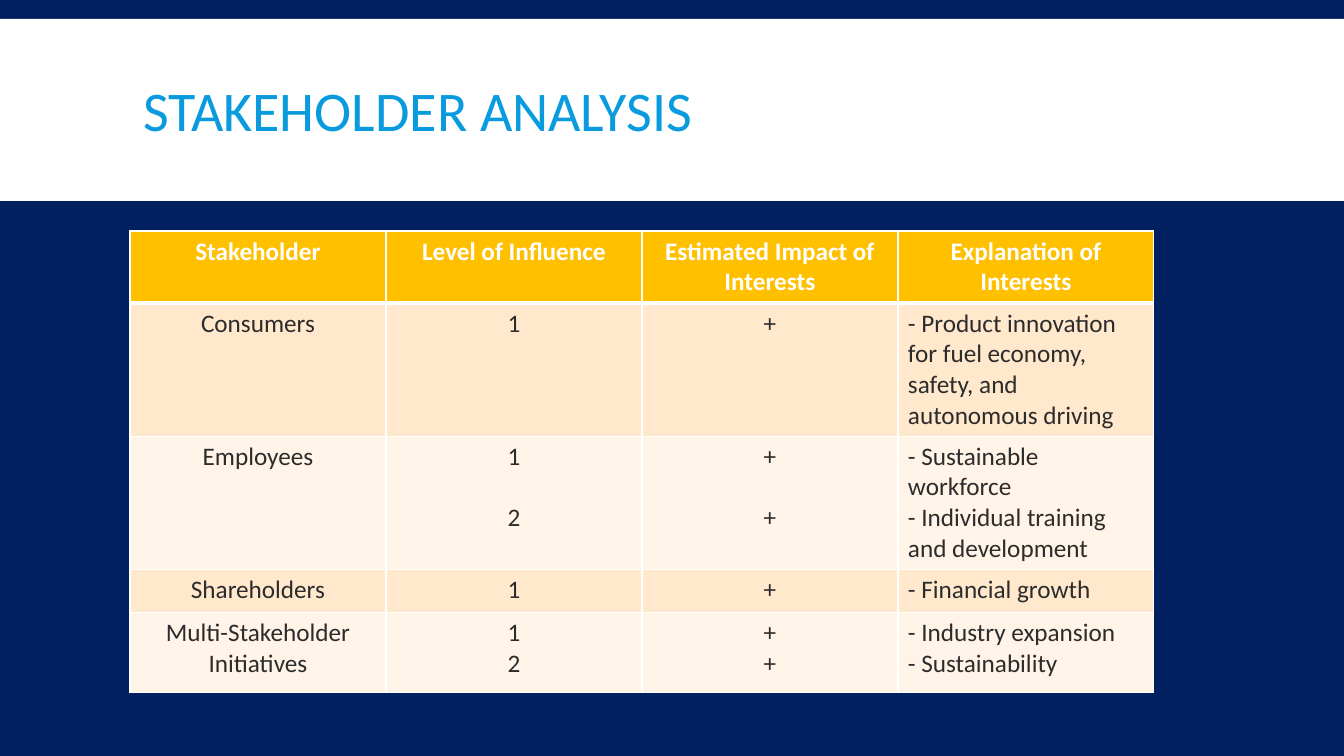
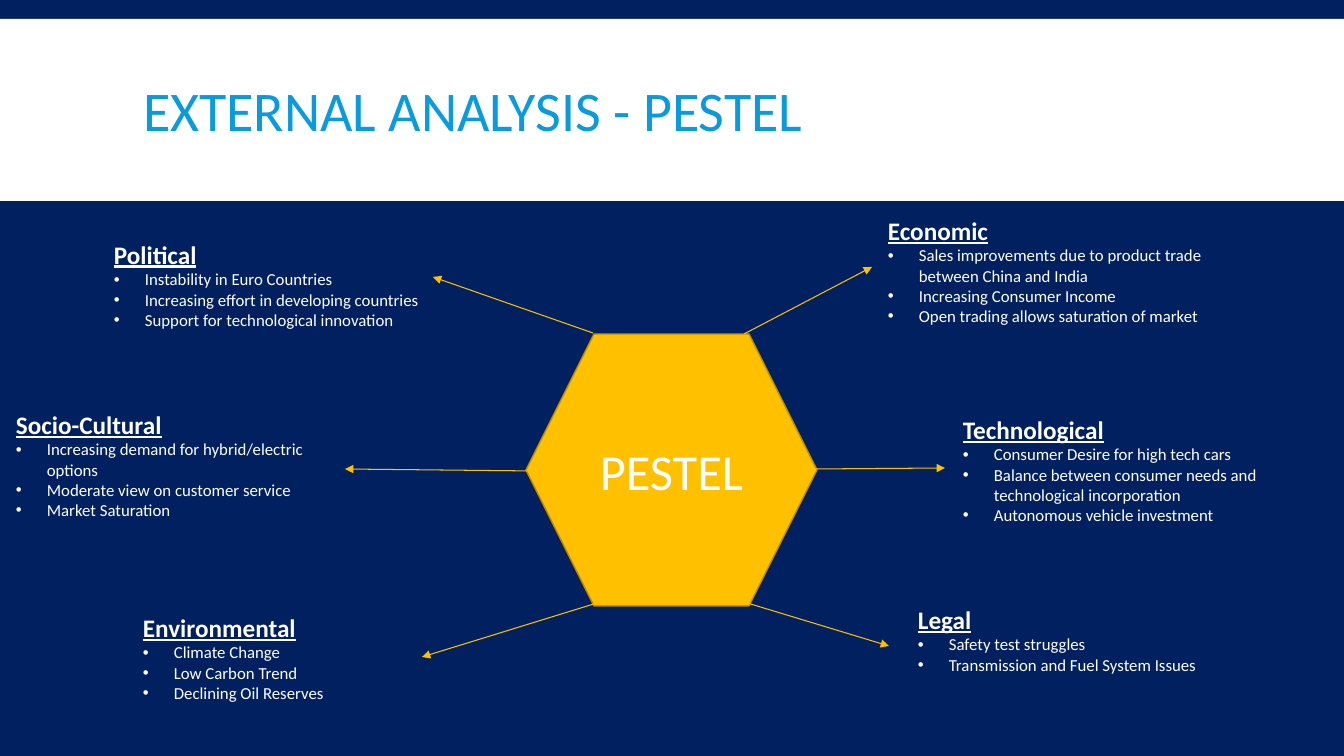
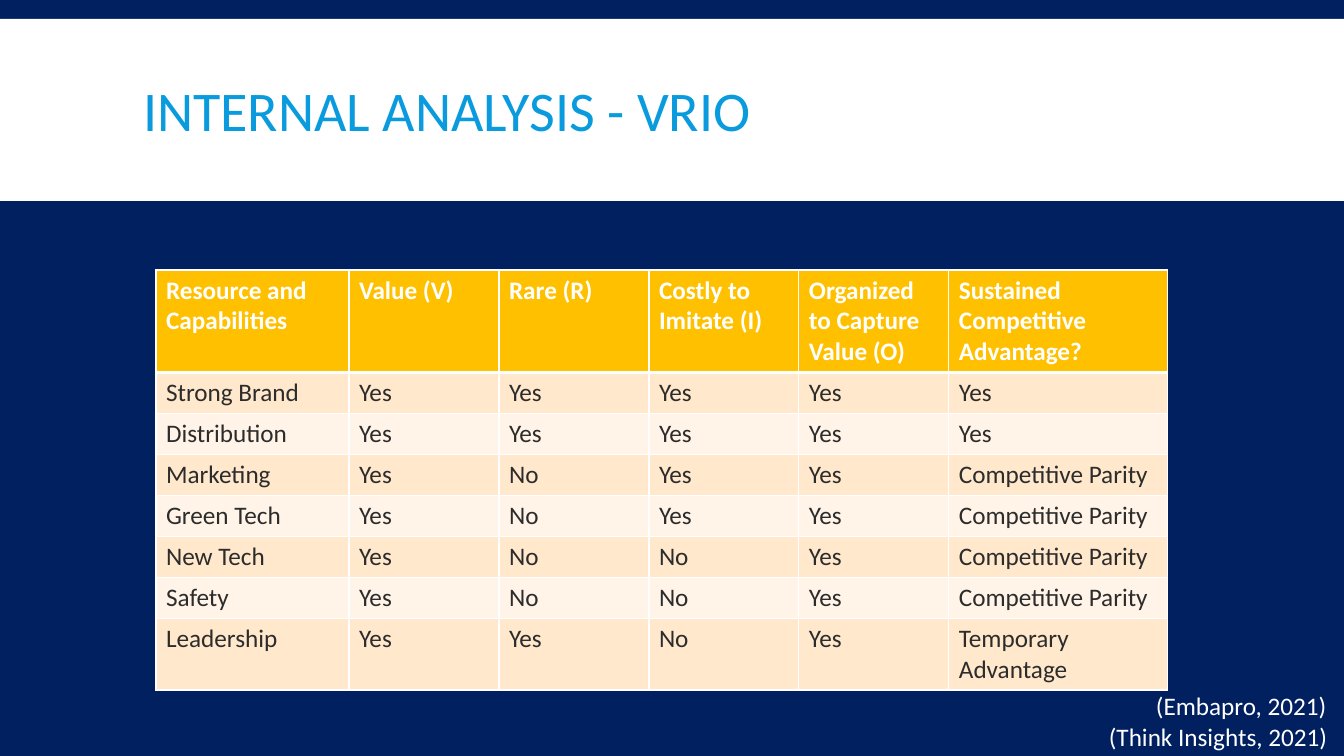
from dataclasses import dataclass, field

from lxml.etree import SubElement
from pptx import Presentation
from pptx.dml.color import RGBColor
from pptx.enum.shapes import MSO_CONNECTOR, MSO_SHAPE
from pptx.enum.text import MSO_ANCHOR as Anchor, MSO_AUTO_SIZE as AutoSize, PP_ALIGN as Align
from pptx.oxml.ns import qn
from pptx.presentation import Presentation as Deck
from pptx.slide import Slide
from pptx.text.text import TextFrame
from pptx.util import Emu, Pt

EMU_PER_PX = 914400 / 100.8
SLIDE_W, SLIDE_H = 1344, 756
FONT = "Calibri"
NAVY, WHITE, BLUE = "002060", "FFFFFF", "099BDD"
GOLD, GOLD_EDGE, INK = "FFC000", "BD8E00", "2C2C2C"
ROW_FILLS = ("FFF4E7", "FFE8CC")
BULLET_INDENT = 31
FACTOR_W = 357


@dataclass(frozen=True)
class Factor:
    x: int
    y: int
    h: int
    heading: str
    points: tuple[str, ...]
    arrow: tuple[int, int, int, int]


@dataclass(frozen=True)
class Grid:
    """A table; gaps maps (row, column) to points between the cell's paragraphs."""
    x: int
    y: int
    cols: tuple[int, ...]
    heights: tuple[int, ...]
    rows: tuple[tuple[str, ...], ...]
    centred: int = 0
    gaps: dict[tuple[int, int], int] = field(default_factory=dict)


@dataclass(frozen=True)
class Citation:
    x: int
    y: int
    text: str


STAKEHOLDERS = Grid(
    130, 231, (256,) * 4, (72, 120, 92, 43, 80),
    (
        ("Stakeholder", "Level of Influence", "Estimated Impact of Interests",
         "Explanation of Interests"),
        ("Consumers", "1", "+",
         "- Product innovation for fuel economy, safety, and autonomous driving"),
        ("Employees", "1\n2", "+\n+",
         "- Sustainable workforce\n- Individual training and development"),
        ("Shareholders", "1", "+", "- Financial growth"),
        ("Multi-Stakeholder Initiatives", "1\n2", "+\n+",
         "- Industry expansion\n- Sustainability"),
    ),
    centred=3, gaps={(2, 1): 22, (2, 2): 22},
)

VRIO = Grid(
    156, 270, (193, 150, 150, 150, 150, 219), (41,) * 8,
    (
        ("Resource and Capabilities", "Value (V)", "Rare (R)", "Costly to Imitate (I)",
         "Organized to Capture Value (O)", "Sustained Competitive Advantage?"),
        ("Strong Brand", "Yes", "Yes", "Yes", "Yes", "Yes"),
        ("Distribution", "Yes", "Yes", "Yes", "Yes", "Yes"),
        ("Marketing", "Yes", "No", "Yes", "Yes", "Competitive Parity"),
        ("Green Tech", "Yes", "No", "Yes", "Yes", "Competitive Parity"),
        ("New Tech", "Yes", "No", "No", "Yes", "Competitive Parity"),
        ("Safety", "Yes", "No", "No", "Yes", "Competitive Parity"),
        ("Leadership", "Yes", "Yes", "No", "Yes", "Temporary Advantage"),
    ),
)

FACTORS = (
    Factor(104, 234, 142, "Political",
           ("Instability in Euro Countries", "Increasing effort in developing countries",
            "Support for technological innovation"), (593, 333, 433, 277)),
    Factor(878, 210, 142, "Economic",
           ("Sales improvements due to product trade between China and India",
            "Increasing Consumer Income", "Open trading allows saturation of market"),
           (744, 334, 872, 267)),
    Factor(6, 404, 183, "Socio-Cultural",
           ("Increasing demand for hybrid/electric options",
            "Moderate view on customer service", "Market Saturation"),
           (536, 471, 345, 469)),
    Factor(953, 409, 142, "Technological",
           ("Consumer Desire for high tech cars",
            "Balance between consumer needs and technological incorporation",
            "Autonomous vehicle investment"), (812, 469, 945, 468)),
    Factor(133, 607, 149, "Environmental",
           ("Climate Change", "Low Carbon Trend", "Declining Oil Reserves"),
           (597, 603, 422, 657)),
    Factor(908, 599, 122, "Legal",
           ("Safety test struggles", "Transmission and Fuel System Issues"),
           (744, 602, 889, 646)),
)

CITATIONS = (
    Citation(1099, 716, "(Think Insights, 2021)"),
    Citation(1146, 685, "(Embapro, 2021)"),
)


def px(n: int) -> Emu:
    return Emu(round(n * EMU_PER_PX))


def box(x: int, y: int, w: int, h: int) -> tuple[Emu, Emu, Emu, Emu]:
    return px(x), px(y), px(w), px(h)


def rgb(value: str) -> RGBColor:
    return RGBColor.from_string(value)


def write(tf: TextFrame, text: str, *, size: int = 18, color: str = WHITE,
          bold: bool = False, underline: bool = False, align: Align = Align.LEFT,
          bullet: bool = False, before: int = 0, spacing: float = 1.0) -> None:
    """Add one paragraph, filling the first one while it is still empty."""
    first = tf.paragraphs[0]
    p = tf.add_paragraph() if first.runs else first
    p.alignment = align
    p.line_spacing = spacing
    p.space_before = Pt(before)
    if bullet:
        pPr = p._p.get_or_add_pPr()
        pPr.set("marL", str(px(BULLET_INDENT)))
        pPr.set("indent", str(-px(BULLET_INDENT)))
        SubElement(pPr, qn("a:buFont"), typeface="Arial")
        SubElement(pPr, qn("a:buChar"), char="•")
    r = p.add_run()
    r.text = text
    font = r.font
    font.name, font.size = FONT, Pt(size)
    font.bold, font.underline = bold, underline
    font.color.rgb = rgb(color)


def add_panel(s: Slide, kind: MSO_SHAPE, x: int, y: int, w: int, h: int,
              fill: str, line: str = ""):
    sp = s.shapes.add_shape(kind, *box(x, y, w, h))
    sp.shadow.inherit = False
    sp.fill.solid()
    sp.fill.fore_color.rgb = rgb(fill)
    if line:
        sp.line.color.rgb = rgb(line)
        sp.line.width = Pt(1)
    else:
        sp.line.fill.background()
    return sp


def add_text_box(s: Slide, x: int, y: int, w: int, h: int) -> TextFrame:
    tf = s.shapes.add_textbox(*box(x, y, w, h)).text_frame
    tf.word_wrap = True
    tf.auto_size = AutoSize.SHAPE_TO_FIT_TEXT
    return tf


def add_slide(prs: Deck, title: str) -> Slide:
    """Add a title-only slide with the white band behind its title."""
    s = prs.slides.add_slide(prs.slide_layouts[5])
    band = add_panel(s, MSO_SHAPE.RECTANGLE, 0, 19, SLIDE_W, 182, WHITE)
    s.shapes.element.insert(2, band.element)
    sp = s.shapes.title
    sp.left, sp.top, sp.width, sp.height = box(133, 31, 1079, 166)
    tf = sp.text_frame
    tf.auto_size = AutoSize.NONE
    tf.vertical_anchor = Anchor.MIDDLE
    write(tf, title, size=40, color=BLUE, spacing=0.85)
    return s


def add_arrow(s: Slide, x1: int, y1: int, x2: int, y2: int) -> None:
    line = s.shapes.add_connector(MSO_CONNECTOR.STRAIGHT, px(x1), px(y1), px(x2), px(y2))
    line.line.color.rgb = rgb(GOLD)
    line.line.width = Pt(0.75)
    SubElement(line.line._get_or_add_ln(), qn("a:tailEnd"), type="triangle")
    SubElement(line.element.spPr, qn("a:effectLst"))


def set_borders(cell, top: int, bottom: int) -> None:
    """Draw white borders; call it before the fill, which follows them in the XML."""
    tcPr = cell._tc.get_or_add_tcPr()
    for side, width in (("L", 1), ("R", 1), ("T", top), ("B", bottom)):
        ln = SubElement(tcPr, qn(f"a:ln{side}"), w=str(Pt(width)))
        SubElement(SubElement(ln, qn("a:solidFill")), qn("a:srgbClr"), val=WHITE)


def add_grid(s: Slide, grid: Grid) -> None:
    frame = s.shapes.add_table(len(grid.rows), len(grid.cols), *box(
        grid.x, grid.y, sum(grid.cols), sum(grid.heights)))
    table = frame.table
    for column, width in zip(table.columns, grid.cols):
        column.width = px(width)
    for row, height in zip(table.rows, grid.heights):
        row.height = px(height)
    for i, texts in enumerate(grid.rows):
        header = i == 0
        for j, text in enumerate(texts):
            cell = table.cell(i, j)
            set_borders(cell, top=3 if i == 1 else 1, bottom=3 if header else 1)
            cell.fill.solid()
            cell.fill.fore_color.rgb = rgb(GOLD if header else ROW_FILLS[i % 2])
            centre = j < grid.centred or (header and grid.centred > 0)
            for k, line in enumerate(text.split("\n")):
                write(cell.text_frame, line, color=WHITE if header else INK, bold=header,
                      align=Align.CENTER if centre else Align.LEFT,
                      before=grid.gaps.get((i, j), 0) if k else 0)


def add_factor(s: Slide, factor: Factor) -> None:
    add_arrow(s, *factor.arrow)
    tf = add_text_box(s, factor.x, factor.y, FACTOR_W, factor.h)
    write(tf, factor.heading, bold=True, underline=True)
    for point in factor.points:
        write(tf, point, size=12, bullet=True)


def add_pestel(s: Slide) -> None:
    hexagon = add_panel(s, MSO_SHAPE.HEXAGON, 526, 334, 291, 272, GOLD, GOLD_EDGE)
    tf = hexagon.text_frame
    tf.word_wrap = False
    tf.vertical_anchor = Anchor.MIDDLE
    write(tf, "PESTEL", size=36, align=Align.CENTER)
    for factor in FACTORS:
        add_factor(s, factor)


def main() -> None:
    prs = Presentation()
    prs.slide_width, prs.slide_height = px(SLIDE_W), px(SLIDE_H)
    background = prs.slide_master.background.fill
    background.solid()
    background.fore_color.rgb = rgb(NAVY)

    add_grid(add_slide(prs, "STAKEHOLDER ANALYSIS"), STAKEHOLDERS)
    add_pestel(add_slide(prs, "EXTERNAL ANALYSIS - PESTEL"))
    s = add_slide(prs, "INTERNAL ANALYSIS - VRIO")
    add_grid(s, VRIO)
    for citation in CITATIONS:
        tf = add_text_box(s, citation.x, citation.y, SLIDE_W - citation.x, 40)
        write(tf, citation.text)
    prs.save("out.pptx")


if __name__ == "__main__":
    main()
